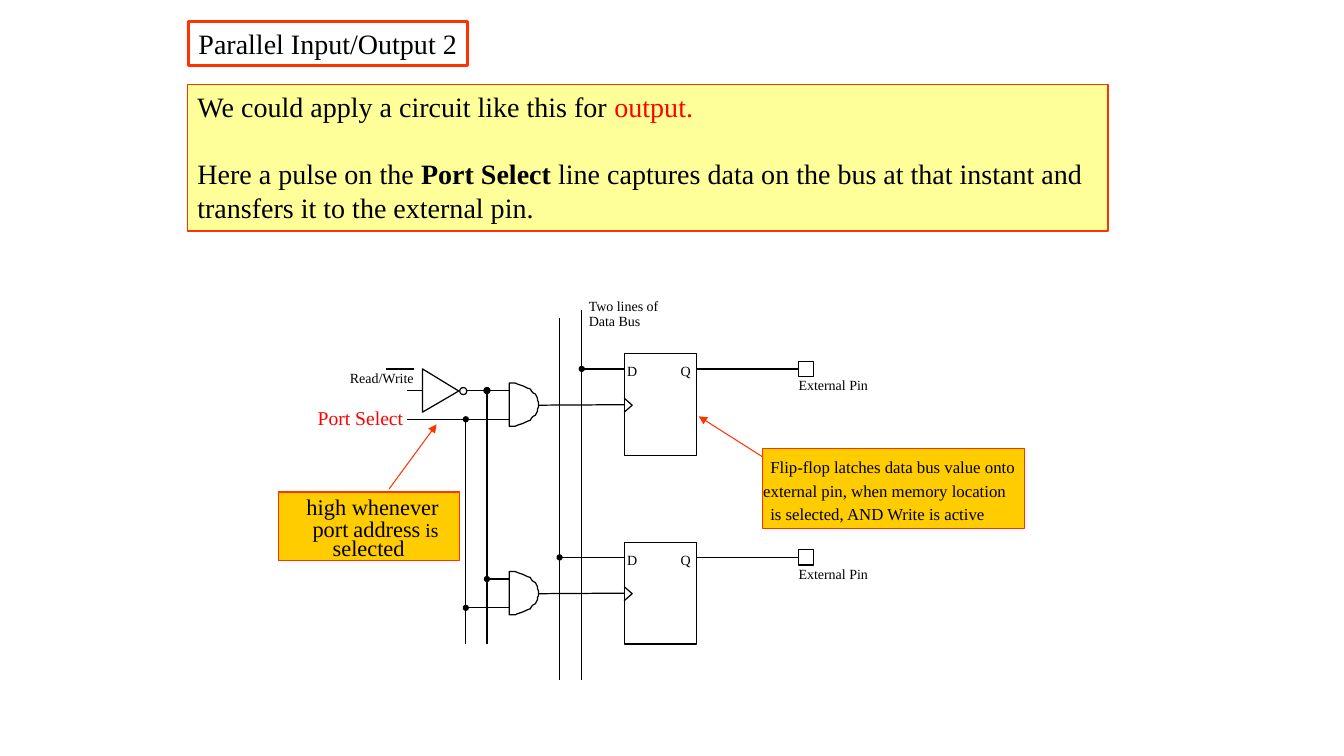
from math import cos, pi, sin

from lxml.etree import SubElement
from pptx import Presentation
from pptx.dml.color import RGBColor
from pptx.enum.shapes import MSO_CONNECTOR as Connector, MSO_SHAPE as Shape
from pptx.oxml.ns import qn
from pptx.util import Emu, Pt

SCALE = 9144  # EMU per px, 100 px to the inch
FONT = "Times New Roman"
BLACK = RGBColor(0x00, 0x00, 0x00)
WHITE = RGBColor(0xFF, 0xFF, 0xFF)
RED = RGBColor(0xFF, 0x00, 0x00)
ORANGE = RGBColor(0xFF, 0x33, 0x00)
YELLOW = RGBColor(0xFF, 0xFF, 0x99)
GOLD = RGBColor(0xFF, 0xCC, 0x00)

WIRE = 0.88
CHANNEL_PITCH = 187
BUS_X = (577, 555)
SELECT_X, WRITE_X = 462, 483
GATE_X, GATE_WIDTH, GATE_HEIGHT = 505, 29, 43
LATCH_X, LATCH_WIDTH, LATCH_HEIGHT = 619, 72, 101
PIN_X = 792
LEFT, RIGHT = 1, 3


def px(*lengths):
    return [Emu(round(length * SCALE)) for length in lengths]


def style(shape, fill=None, line=None, width=WIRE):
    if fill is None:
        shape.fill.background()
    else:
        shape.fill.solid()
        shape.fill.fore_color.rgb = fill
    if line is None:
        shape.line.fill.background()
    else:
        shape.line.color.rgb = line
        shape.line.width = Pt(width)


def add_box(slide, x, y, width, height, kind=Shape.RECTANGLE, fill=WHITE,
            line=BLACK, line_width=WIRE):
    shape = slide.shapes.add_shape(kind, *px(x, y, width, height))
    shape.shadow.inherit = False
    style(shape, fill, line, line_width)
    return shape


def add_text(slide, paragraphs, x, y, width, height, size=10, color=BLACK,
             wrap=False, inset=(0, 0), gap=0, fill=None, line=None,
             line_width=WIRE):
    """Add text; a run is a string or a (string, format dictionary) pair."""
    box = slide.shapes.add_textbox(*px(x, y, width, height))
    style(box, fill, line, line_width)
    frame = box.text_frame
    frame.word_wrap = wrap
    frame.margin_left = frame.margin_right = px(inset[0])[0]
    frame.margin_top = frame.margin_bottom = px(inset[1])[0]
    if isinstance(paragraphs, str):
        paragraphs = [[paragraphs]]
    for index, runs in enumerate(paragraphs):
        paragraph = frame.add_paragraph() if index else frame.paragraphs[0]
        if index:
            paragraph.space_before = Pt(gap)
        for item in runs:
            text, look = (item, {}) if isinstance(item, str) else item
            run = paragraph.add_run()
            run.text = text
            run.font.name = FONT
            run.font.size = Pt(look.get("size", size))
            run.font.bold = look.get("bold", False)
            run.font.color.rgb = look.get("color", color)
    return box


def add_line(slide, x1, y1, x2, y2, color=BLACK, width=WIRE, arrow=False):
    line = slide.shapes.add_connector(Connector.STRAIGHT, *px(x1, y1, x2, y2))
    line.line.color.rgb = color
    line.line.width = Pt(width)
    properties = line.line._get_or_add_ln()
    if arrow:
        SubElement(properties, qn("a:tailEnd"), type="triangle")
    SubElement(properties.getparent(), qn("a:effectLst"))
    return line


def add_outline(slide, points, close=True):
    builder = slide.shapes.build_freeform(*points[0], scale=SCALE)
    builder.add_line_segments(points[1:], close=close)
    shape = builder.convert_to_shape()
    shape.shadow.inherit = False
    style(shape, line=BLACK)
    return shape


def add_dot(slide, x, y, line_width=2.25):
    add_box(slide, x - 1.5, y - 1.5, 3, 3, Shape.OVAL, BLACK, BLACK, line_width)


def add_and_gate(slide, top):
    radius, steps = GATE_HEIGHT / 2, 32
    angles = [pi * (step / steps - 0.5) for step in range(steps + 1)]
    add_outline(slide, [(GATE_X + GATE_WIDTH * cos(angle),
                         top + radius * (1 + sin(angle))) for angle in angles])


def add_channel(slide, offset, bus_x, write_x, select_x):
    """Draw one gate, flip-flop and pin with the wires between them."""
    data_y, clock_y = 366 + offset, 402 + offset
    write_y, select_y = 387.5 + offset, 416 + offset
    latch = add_box(slide, LATCH_X, 351 + offset, LATCH_WIDTH, LATCH_HEIGHT)
    pin = add_box(slide, PIN_X, 358.5 + offset, 15, 15)
    add_and_gate(slide, 380 + offset)
    add_outline(slide, [(LATCH_X, clock_y - 7), (LATCH_X + 8, clock_y),
                        (LATCH_X, clock_y + 7)], close=False)
    add_line(slide, bus_x, data_y, LATCH_X, data_y)
    clock = add_line(slide, GATE_X + GATE_WIDTH, clock_y, LATCH_X, clock_y)
    clock.end_connect(latch, LEFT)
    output = add_line(slide, LATCH_X + LATCH_WIDTH, data_y, PIN_X, data_y)
    output.end_connect(pin, LEFT)
    add_line(slide, write_x, write_y, GATE_X, write_y)
    add_line(slide, select_x, select_y, GATE_X, select_y)
    add_dot(slide, bus_x, data_y)
    add_dot(slide, SELECT_X, select_y)
    add_text(slide, "D", 622, 360 + offset, 10, 17)
    add_text(slide, "Q", 675, 360 + offset, 10, 17)
    add_text(slide, "External Pin", PIN_X, 374 + offset, 69, 17)


def add_inverter(slide):
    add_outline(slide, [(419, 366), (455, 387.5), (419, 409)])
    add_box(slide, 456, 384.5, 7, 7, Shape.OVAL)
    add_line(slide, 404, 387.5, 419, 387.5)
    add_text(slide, "Read/Write", 347, 367, 65, 17)
    add_line(slide, 383, 366, 411, 366)


def add_explanation(slide):
    add_text(slide, "Parallel Input/Output 2", 187, 21, 277, 44, size=20,
             inset=(10, 5), line=ORANGE, line_width=2.25)
    add_text(slide, [
        ["We could apply a circuit like this for ", ("output.", {"color": RED})],
        ["Here a pulse on the ", ("Port Select", {"bold": True}),
         " line captures data on the bus at that instant and transfers it "
         "to the external pin."],
    ], 186, 84, 913, 145, size=20, wrap=True, inset=(10, 5), gap=24,
        fill=YELLOW, line=ORANGE, line_width=1)


def add_callouts(slide):
    add_box(slide, 756, 445, 260, 79, fill=GOLD, line=ORANGE)
    latch_note = (("Flip-flop latches data bus value onto", 764, 453, 246),
                  ("external pin, when memory location", 757, 477, 244),
                  ("is selected, AND Write is active", 764, 500, 216))
    for text, x, y, width in latch_note:
        add_text(slide, text, x, y, width, 20, size=12, fill=GOLD)
    add_line(slide, 756, 453, 693, 413, ORANGE, 0.75, arrow=True)

    add_box(slide, 276, 488, 180, 68, fill=GOLD, line=ORANGE)
    small = {"size": 14}
    add_text(slide, "high whenever", 304, 489, 154, 27, size=16, wrap=True)
    add_text(slide, [["port", (" ", small), "address", (" is", small)]],
             310, 511, 143, 27, size=16, wrap=True)
    add_text(slide, "selected", 330, 530, 73, 27, size=16)
    add_line(slide, 386, 485, 433, 421, ORANGE, 0.75, arrow=True)


def main():
    presentation = Presentation()
    presentation.slide_width, presentation.slide_height = px(1333, 750)
    slide = presentation.slides.add_slide(presentation.slide_layouts[6])

    add_explanation(slide)
    for x, top in zip(BUS_X, (308, 315)):
        add_line(slide, x, top, x, 675)
    add_text(slide, "Two lines of", 584, 295, 74, 17)
    add_text(slide, "Data Bus", 584, 310, 52, 17)

    add_line(slide, SELECT_X, 416, SELECT_X, 639)
    add_line(slide, WRITE_X, 387.5, WRITE_X, 639)
    gate_inputs = ((463, 404), (WRITE_X, SELECT_X))
    for index, (bus_x, inputs) in enumerate(zip(BUS_X, gate_inputs)):
        add_channel(slide, index * CHANNEL_PITCH, bus_x, *inputs)
    add_dot(slide, WRITE_X, 387.5, line_width=3)
    add_dot(slide, WRITE_X, 387.5 + CHANNEL_PITCH)
    add_inverter(slide)
    add_text(slide, "Port Select", 315, 403, 99, 24, size=14, color=RED, wrap=True)
    add_callouts(slide)
    presentation.save("out.pptx")


if __name__ == "__main__":
    main()
